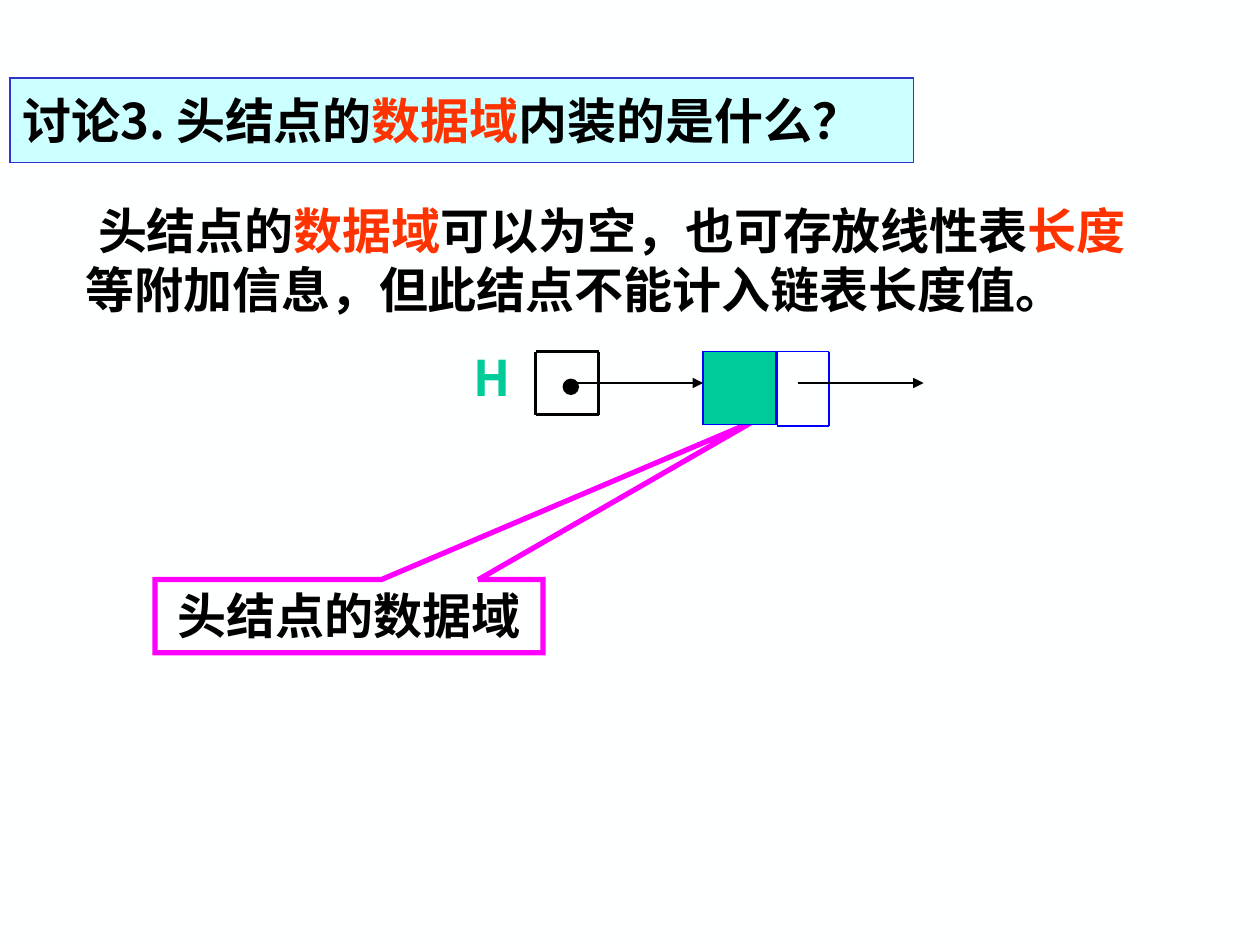
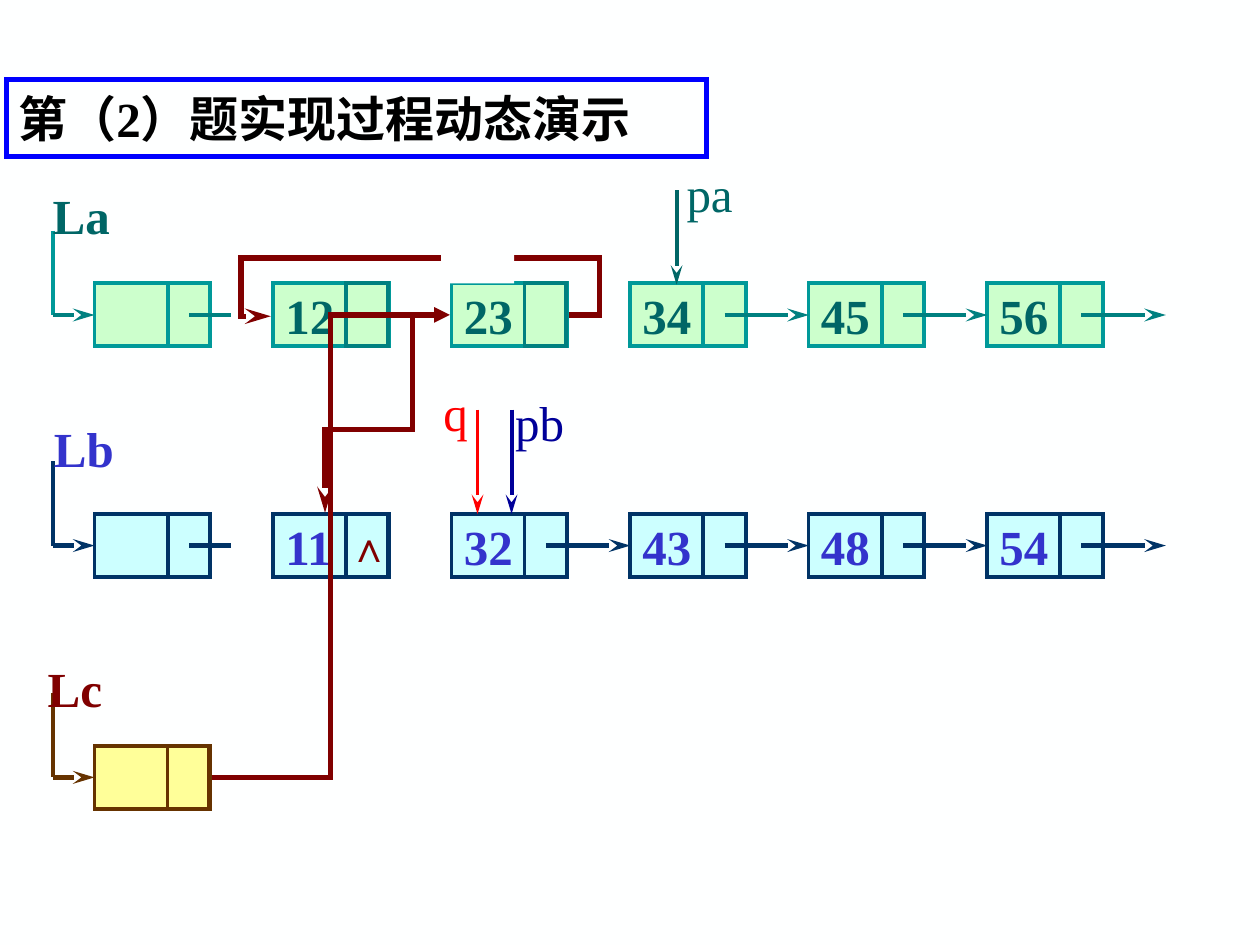
import pptx
import pptx.util
from pptx.dml.color import RGBColor
from pptx.enum.shapes import MSO_CONNECTOR, MSO_SHAPE
from pptx.enum.text import MSO_ANCHOR, PP_ALIGN
from pptx.oxml.ns import qn
from pptx.util import Inches
from lxml import etree

# Shared colours and fonts
PAPER = RGBColor(0xFE, 0xFF, 0xFF)
BLACK = RGBColor(0x00, 0x00, 0x00)
ORANGE = RGBColor(0xFF, 0x33, 0x00)
RED = RGBColor(0xFF, 0x00, 0x00)
BLUE = RGBColor(0x00, 0x00, 0xFF)
INDIGO = RGBColor(0x33, 0x33, 0xCC)
NAVY = RGBColor(0x00, 0x33, 0x66)
DARK_BLUE = RGBColor(0x00, 0x00, 0x99)
MAGENTA = RGBColor(0xFF, 0x00, 0xFF)
GREEN = RGBColor(0x00, 0xCC, 0x99)
TEAL = RGBColor(0x00, 0x99, 0x99)
LINK_TEAL = RGBColor(0x00, 0x80, 0x80)
DARK_TEAL = RGBColor(0x00, 0x66, 0x66)
MAROON = RGBColor(0x80, 0x00, 0x00)
BROWN = RGBColor(0x66, 0x33, 0x00)
PALE_CYAN = RGBColor(0xCC, 0xFF, 0xFF)
PALE_GREEN = RGBColor(0xCC, 0xFF, 0xCC)
PALE_YELLOW = RGBColor(0xFF, 0xFF, 0x99)
SANS = "Noto Sans CJK SC"
SERIF = "Times New Roman"

# Geometry of the linked lists
FIRST_LEFT = 0.75
PITCH = 17 / 12
NODE_WIDTH, NODE_HEIGHT, DATA_WIDTH = 0.92, 0.5, 0.58
LINK_START = 0.75
STEM_X, STEM_HEIGHT = 0.42, 0.67


def write_text(shape, *spans, size=28, font=SANS, east_font=None, color=BLACK, bold=True,
               align=PP_ALIGN.LEFT, anchor=MSO_ANCHOR.TOP, wrap=True, indent=0):
    """Write spans, each a string or (string, colour, font), as one paragraph."""
    frame = shape.text_frame
    frame.word_wrap = wrap
    frame.vertical_anchor = anchor
    para = frame.paragraphs[0]
    para.alignment = align
    if indent:
        para._p.get_or_add_pPr().set("indent", str(Inches(indent)))
    for item in spans:
        text, span_color, span_font = (item, color, font) if isinstance(item, str) else item
        span = para.add_run()
        span.text = text
        span.font.size = pptx.util.Pt(size)
        span.font.bold = bold
        span.font.color.rgb = span_color
        span.font.name = span_font
        east_asian = etree.SubElement(span._r.get_or_add_rPr(), qn("a:ea"))
        east_asian.set("typeface", east_font or span_font)


def add_label(page, left, top, width, height, *spans, **text_format):
    box = page.shapes.add_textbox(Inches(left), Inches(top), Inches(width), Inches(height))
    write_text(box, *spans, **text_format)


def add_box(page, left, top, width, height, fill=None, line=None, weight=1,
            kind=MSO_SHAPE.RECTANGLE):
    box = page.shapes.add_shape(kind, Inches(left), Inches(top), Inches(width), Inches(height))
    box.shadow.inherit = False
    if fill is None:
        box.fill.background()
    else:
        box.fill.solid()
        box.fill.fore_color.rgb = fill
    if line is None:
        box.line.fill.background()
    else:
        box.line.color.rgb = line
        box.line.width = pptx.util.Pt(weight)
        outline = box._element.spPr.find(qn("a:ln"))
        etree.SubElement(outline, qn("a:miter")).set("lim", "800000")
    return box


def add_line(page, start, end, color, weight, arrow=None, preset=None, bends=()):
    """Draw a straight line, or a bent one when a preset and its bends are given."""
    kind = MSO_CONNECTOR.ELBOW if preset else MSO_CONNECTOR.STRAIGHT
    line = page.shapes.add_connector(kind, *map(Inches, start + end))
    line.line.color.rgb = color
    line.line.width = pptx.util.Pt(weight)
    properties = line._element.spPr
    outline = properties.find(qn("a:ln"))
    if preset:
        etree.SubElement(outline, qn("a:miter")).set("lim", "800000")
    if arrow:
        tail = etree.SubElement(outline, qn("a:tailEnd"))
        tail.set("type", arrow)
        if arrow == "stealth":
            tail.set("len", "lg")
    etree.SubElement(properties, qn("a:effectLst"))
    if preset:
        geometry = properties.find(qn("a:prstGeom"))
        geometry.set("prst", preset)
        guides = geometry.get_or_add_avLst()
        for number, bend in enumerate(bends, 1):
            guide = etree.SubElement(guides, qn("a:gd"))
            guide.set("name", f"adj{number}")
            guide.set("fmla", f"val {round(bend * 100000)}")


def add_frame(page, left, top, right, bottom, color, weight):
    """Draw an open cell from four lines."""
    for y in (top, bottom):
        add_line(page, (left, y), (right, y), color, weight)
    for x in (left, right):
        add_line(page, (x, top), (x, bottom), color, weight)


def add_node(page, left, top, fill, line, value="", color=BLACK):
    node = add_box(page, left, top, NODE_WIDTH, NODE_HEIGHT, fill, line, 2.25)
    if value:
        write_text(node, value, font=SERIF, color=color, anchor=MSO_ANCHOR.MIDDLE, wrap=False)
    divider = left + DATA_WIDTH
    add_line(page, (divider, top), (divider, top + NODE_HEIGHT), line, 2.25)


def add_list(page, top, values, fill, line, link, color, linked=(), rewritten=()):
    """Draw a head node with its stem, the value nodes and the links still in place."""
    middle = top + NODE_HEIGHT / 2
    add_line(page, (STEM_X, middle - STEM_HEIGHT), (STEM_X, middle), line, 2.5)
    add_line(page, (STEM_X, middle), (FIRST_LEFT, middle), link, 2.5, "stealth")
    lefts = [FIRST_LEFT + PITCH * index for index in range(len(values) + 1)]
    for left, value in zip(lefts, [""] + values):
        add_node(page, left, top, fill, line, value, color)
    if values:
        add_line(page, (lefts[0] + LINK_START, middle), (1.83, middle), link, 2.5)
    for index in linked:
        start = lefts[index] + LINK_START
        add_line(page, (start, middle), (start + 0.67, middle), link, 2.5, "stealth")
    # Pointer fields whose links were replaced
    for index in rewritten:
        add_box(page, lefts[index] + DATA_WIDTH, top, 0.33, NODE_HEIGHT, fill, link, 2.25)


def add_pointer(page, name, name_at, x, top, bottom, color):
    add_label(page, *name_at, 0.59, 0.57, name, font=SERIF, color=color, bold=False, wrap=False)
    add_line(page, (x, top), (x, bottom), color, 2.25, "stealth")


def add_page(deck):
    page = deck.slides.add_slide(deck.slide_layouts[6])
    page.background.fill.solid()
    page.background.fill.fore_color.rgb = PAPER
    return page


def build_head_node_page(deck):
    page = add_page(deck)
    # Question and answer
    title = add_box(page, 0.08, 0.62, 7.17, 0.67, PALE_CYAN, INDIGO, 0.75)
    write_text(title, "讨论3. 头结点的", ("数据域", ORANGE, SANS), "内装的是什么？",
               anchor=MSO_ANCHOR.MIDDLE)
    add_label(page, 0.58, 1.54, 8.75, 1.03, "头结点的", ("数据域", ORANGE, SANS),
              "可以为空，也可存放线性表", ("长度", ORANGE, SANS),
              "等附加信息，但此结点不能计入链表长度值。", indent=0.1)
    # Callout to the data field
    callout = add_box(page, 1.23, 4.6, 3.08, 0.58, line=MAGENTA, weight=3,
                      kind=MSO_SHAPE.RECTANGULAR_CALLOUT)
    callout.adjustments[0], callout.adjustments[1] = 1.04, -2.66
    write_text(callout, "头结点的数据域", align=PP_ALIGN.CENTER)
    # Head pointer and head node
    add_label(page, 3.66, 2.71, 0.4, 0.57, "H", color=GREEN, wrap=False)
    add_frame(page, 4.25, 2.79, 4.75, 3.29, BLACK, 2.25)
    add_box(page, 4.47, 3.01, 0.12, 0.12, BLACK, BLACK, 0.75, MSO_SHAPE.OVAL)
    add_box(page, 5.58, 2.79, 0.58, 0.58, GREEN, BLUE)
    add_frame(page, 6.17, 2.79, 6.58, 3.38, BLUE, 1)
    for start in (4.58, 6.33):
        add_line(page, (start, 3.04), (start + 1, 3.04), BLACK, 0.75, "triangle")


def build_merge_page(deck):
    page = add_page(deck)
    # The three lists
    add_list(page, 2.25, ["12", "23", "34", "45", "56"], PALE_GREEN, TEAL, LINK_TEAL,
             DARK_TEAL, linked=(3, 4, 5), rewritten=(1, 2))
    add_list(page, 4.08, ["11", "32", "43", "48", "54"], PALE_CYAN, NAVY, NAVY,
             INDIGO, linked=(2, 3, 4, 5), rewritten=(1,))
    add_list(page, 5.92, [], PALE_YELLOW, BROWN, BROWN, MAROON, rewritten=(0,))
    for name, left, top, color in (("La", 0.32, 1.42, DARK_TEAL), ("Lb", 0.33, 3.27, INDIGO),
                                   ("Lc", 0.28, 5.18, MAROON)):
        add_label(page, left, top, 0.68, 0.57, name, font=SERIF, color=color)
    add_label(page, 2.67, 4.08, 0.54, 0.5, "∧", size=24, font=SERIF, color=MAROON, wrap=False)
    # Links of the merged list
    add_line(page, (3.06, 2.5), (2.58, 4.07), MAROON, 3, "stealth",
             "bentConnector4", (-0.45, 0.58))
    add_line(page, (1.68, 6.17), (3.57, 2.5), MAROON, 3, "triangle", "bentConnector3")
    add_line(page, (4.52, 2.5), (2.15, 2.51), MAROON, 3, "stealth",
             "bentConnector5", (-0.1, -46, 1.1))
    # Gap in the link that loops back
    add_box(page, 3.5, 1.33, 0.58, 0.92, PAPER)
    # Moving pointers
    add_pointer(page, "pa", (5.35, 1.25), 5.37, 1.51, 2.26, DARK_TEAL)
    add_pointer(page, "pb", (3.99, 3.07), 4.06, 3.25, 4.08, DARK_BLUE)
    add_pointer(page, "q", (3.42, 2.99), 3.79, 3.25, 4.08, RED)
    # Title
    title = add_box(page, 0.05, 0.63, 5.56, 0.61, line=BLUE, weight=3)
    write_text(title, "第", ("（2）", BLACK, SERIF), "题实现过程动态演示",
               east_font=SANS, anchor=MSO_ANCHOR.MIDDLE)


def main():
    deck = pptx.Presentation()
    deck.slide_width, deck.slide_height = Inches(10), Inches(7.5)
    build_head_node_page(deck)
    build_merge_page(deck)
    deck.save("out.pptx")


if __name__ == "__main__":
    main()
